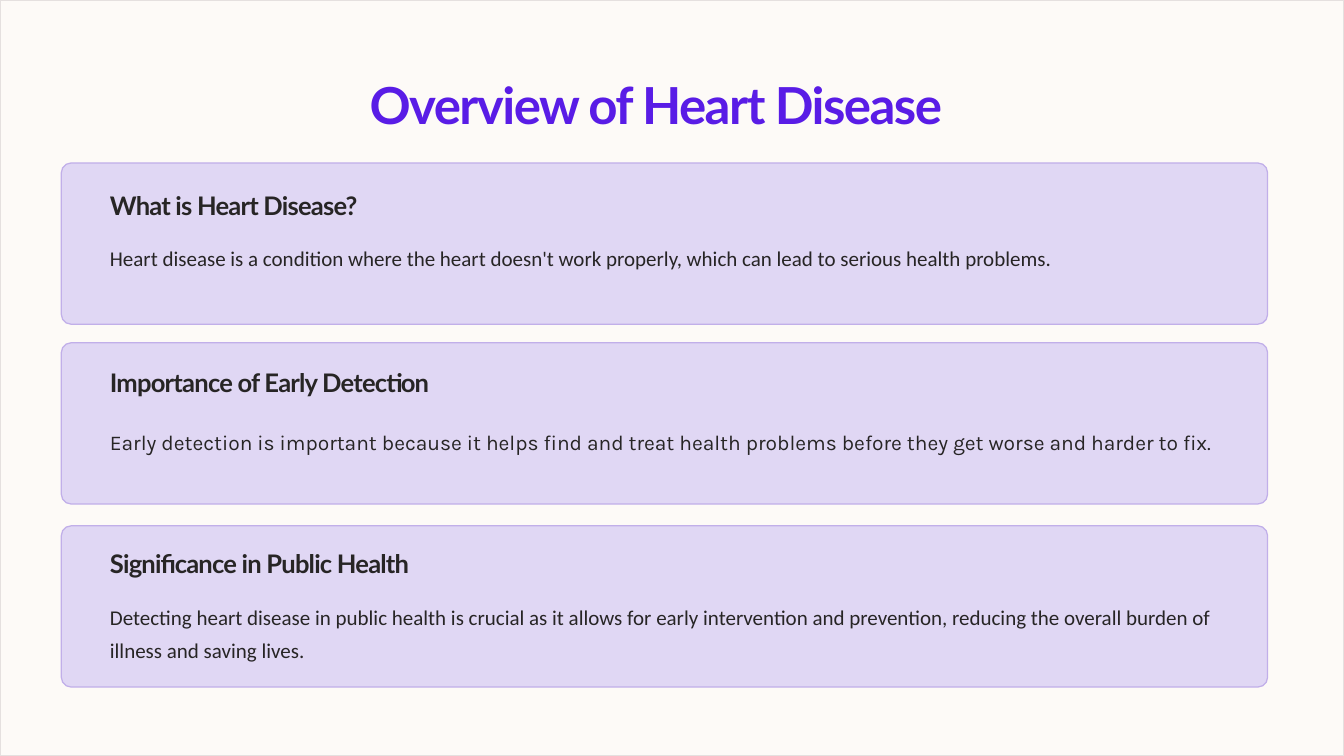
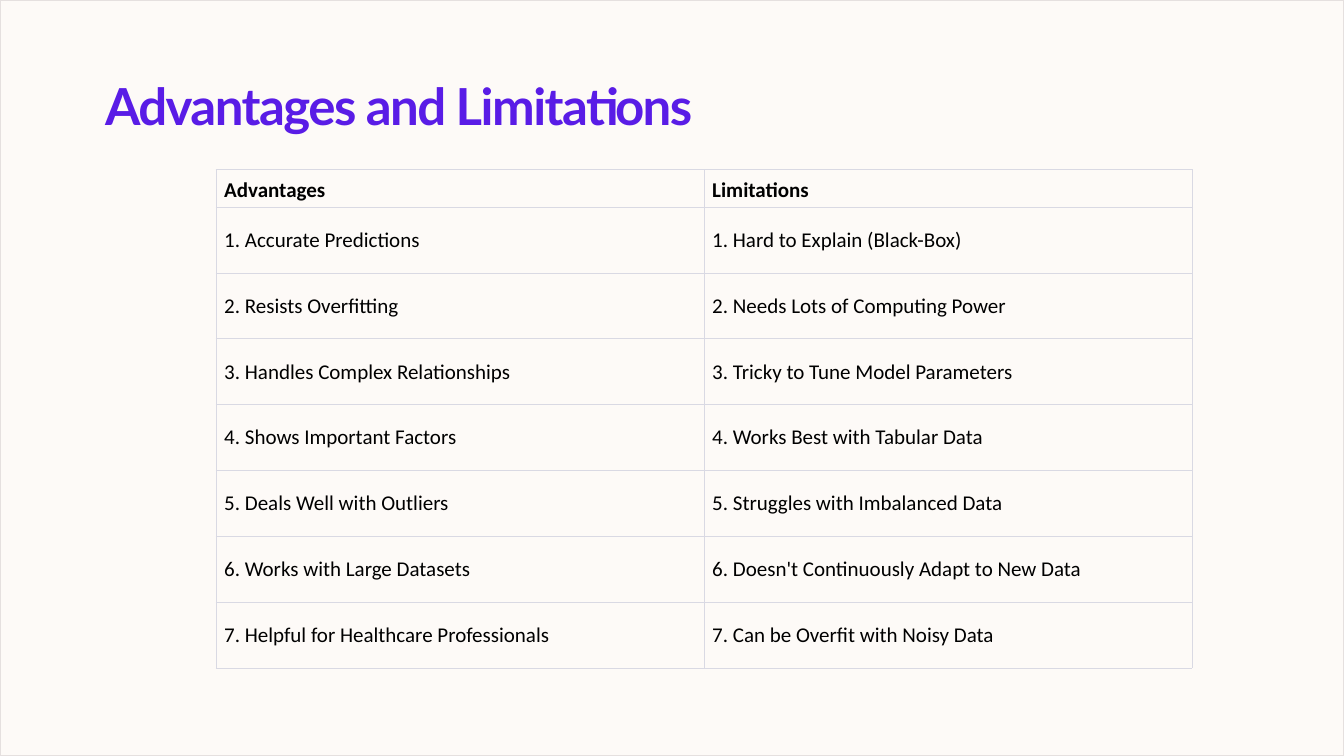
from lxml import etree
from pptx import Presentation
from pptx.dml.color import RGBColor
from pptx.enum.shapes import MSO_SHAPE
from pptx.enum.text import MSO_ANCHOR, MSO_AUTO_SIZE, PP_ALIGN
from pptx.oxml.ns import qn
from pptx.util import Pt

RECT, ROUND = MSO_SHAPE.RECTANGLE, MSO_SHAPE.ROUNDED_RECTANGLE
TOP, MIDDLE, BOTTOM = MSO_ANCHOR.TOP, MSO_ANCHOR.MIDDLE, MSO_ANCHOR.BOTTOM
LEFT, FIXED = PP_ALIGN.LEFT, MSO_AUTO_SIZE.NONE

HUES = {"paper": "FDFAF7", "edge": "E5E0DF", "title": "591CE6", "card": "E0D7F4",
        "rim": "C1AFE9", "ink": "272525", "cell": "000000", "grid": "D9D9E3"}
HUE = {name: RGBColor.from_string(code) for name, code in HUES.items()}
WIDE, HIGH = 1152, 648

TITLES = [("Overview of Heart Disease", 309.6, 56.9, 532.8),
          ("Advantages and Limitations", 82.8, 57.6, 534.2)]

# card top, heading top and width, heading, body top, body font, body
CARDS = [
    (139.7, 158.4, 232.6, "What is Heart Disease?", 200.9, "Calibri",
     "Heart disease is a condition where the heart doesn't work properly, "
     "which can lead to serious health problems."),
    (293.8, 310.3, 306, "Importance of Early Detection", 357.8, "Karla",
     "Early detection is important because it helps find and treat health "
     "problems before they get worse and harder to fix."),
    (450.7, 465.1, 288.7, "Significance in Public Health", 508.3, "Calibri",
     "Detecting heart disease in public health is crucial as it allows for early "
     "intervention and prevention, reducing the overall burden of illness and saving lives."),
]

ROWS = [
    ("Advantages", "Limitations"),
    ("1. Accurate Predictions", "1. Hard to Explain (Black-Box)"),
    ("2. Resists Overfitting", "2. Needs Lots of Computing Power"),
    ("3. Handles Complex Relationships", "3. Tricky to Tune Model Parameters"),
    ("4. Shows Important Factors", "4. Works Best with Tabular Data"),
    ("5. Deals Well with Outliers", "5. Struggles with Imbalanced Data"),
    ("6. Works with Large Datasets", "6. Doesn't Continuously Adapt to New Data"),
    ("7. Helpful for Healthcare Professionals", "7. Can be Overfit with Noisy Data"),
]


def add_panel(slide, kind, box, fill, line):
    panel = slide.shapes.add_shape(kind, *map(Pt, box))
    panel.shadow.inherit = False
    panel.fill.solid()
    panel.fill.fore_color.rgb = HUE[fill]
    panel.line.color.rgb = HUE[line]
    panel.line.width = Pt(1.09)
    return panel


def set_text(shape, text, face, size, hue, lead, bold=False, track=0, wrap=True):
    """Fill a box; lead is the line pitch, track the letter spacing, both in points."""
    frame = shape.text_frame
    frame.text = text
    frame.auto_size = FIXED
    frame.word_wrap = wrap
    frame.vertical_anchor = TOP
    para = frame.paragraphs[0]
    para.alignment = LEFT
    para.line_spacing = Pt(lead)
    para.space_before = Pt(0)
    font = para.font
    font.name, font.size, font.bold = face, Pt(size), bold
    font.color.rgb = HUE[hue]
    if track:
        font._element.set("spc", str(round(track * 100)))


deck = Presentation()
deck.slide_width, deck.slide_height = Pt(WIDE), Pt(HIGH)

for text, left, top, width in TITLES:
    slide = deck.slides.add_slide(deck.slide_layouts[5])
    title = slide.shapes.title
    title.left, title.top, title.width, title.height = map(Pt, (left, top, width, 54.7))
    set_text(title, text, "Lato", 43.7, "title", 54.7, bold=True, track=-1.3, wrap=False)
    sheet = add_panel(slide, RECT, (0, 0, WIDE, HIGH), "paper", "edge")
    title._element.addprevious(sheet._element)

first, second = deck.slides

# Overview cards
for top, head_top, head_wide, head, body_top, face, body in CARDS:
    card = add_panel(first, ROUND, (52.6, top, 1033.9, 138.2), "card", "rim")
    card.adjustments[0] = 0.06
    box = first.shapes.add_textbox(Pt(87.1), Pt(head_top), Pt(head_wide), Pt(27.4))
    set_text(box, head, "Lato", 21.9, "ink", 27.3, bold=True, track=-0.7, wrap=False)
    box = first.shapes.add_textbox(Pt(87.1), Pt(body_top), Pt(980.6), Pt(56.2))
    set_text(box, body, face, 18, "ink", 28)

# Table of advantages and limitations
HEAD, ROW, COL = 32.4, 56.4, 418.3
last = len(ROWS) - 1
table = second.shapes.add_table(len(ROWS), 2, Pt(185), Pt(145.4), Pt(2 * COL),
                                Pt(HEAD + last * ROW)).table
table.first_row = table.horz_banding = False
for col in table.columns:
    col.width = Pt(COL)
for r, texts in enumerate(ROWS):
    table.rows[r].height = Pt(ROW if r else HEAD)
    for c, text in enumerate(texts):
        cell = table.cell(r, c)
        cell.text = text
        cell.vertical_anchor = MIDDLE if r else BOTTOM
        font = cell.text_frame.paragraphs[0].font
        font.name, font.size, font.bold = "Calibri", Pt(18), r == 0
        font.color.rgb = HUE["cell"]
        props = cell._tc.get_or_add_tcPr()
        sides = {"L": 0.6, "R": 0.6, "T": 1 if r else 0.6, "B": 1 if r < last else 0.6}
        for side, width in sides.items():
            line = etree.SubElement(props, qn("a:ln" + side), w=str(Pt(width)))
            fill = etree.SubElement(line, qn("a:solidFill"))
            etree.SubElement(fill, qn("a:srgbClr"), val=HUES["grid"])
        cell.fill.solid()
        cell.fill.fore_color.rgb = HUE["paper"]

deck.save("out.pptx")
